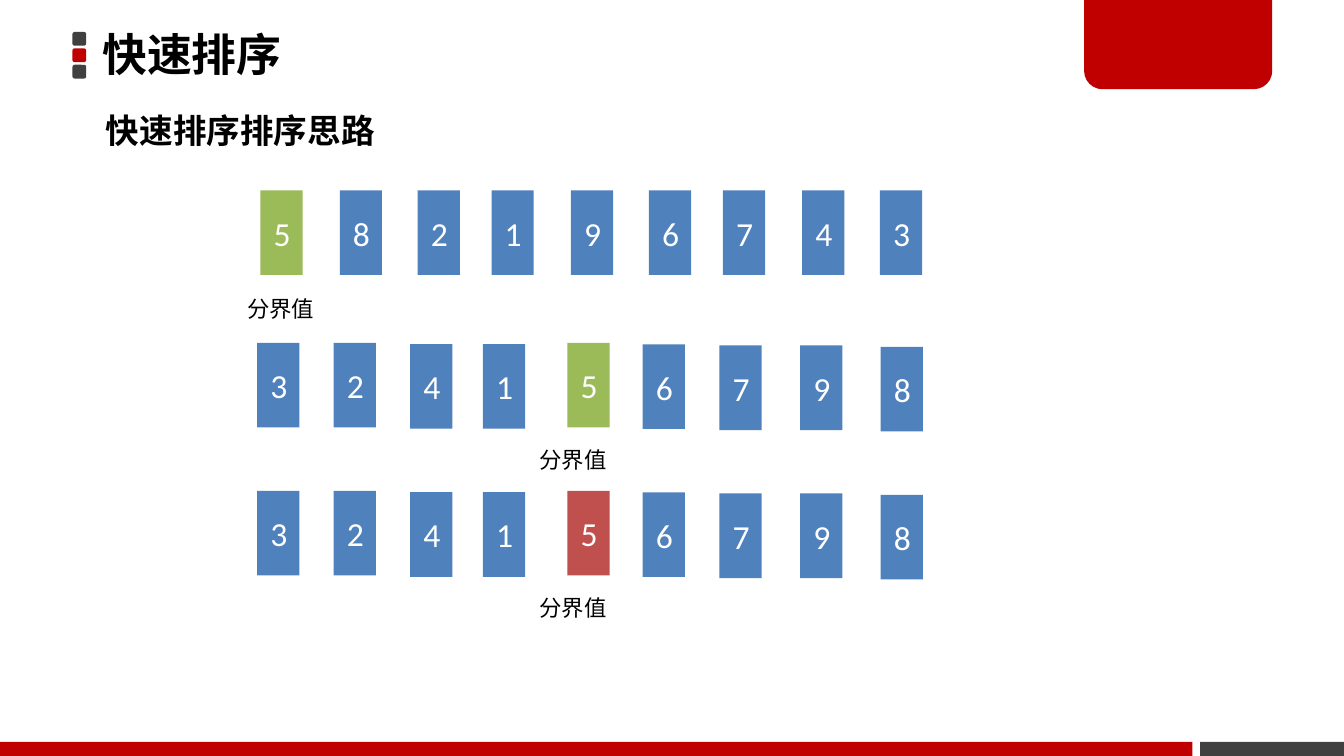
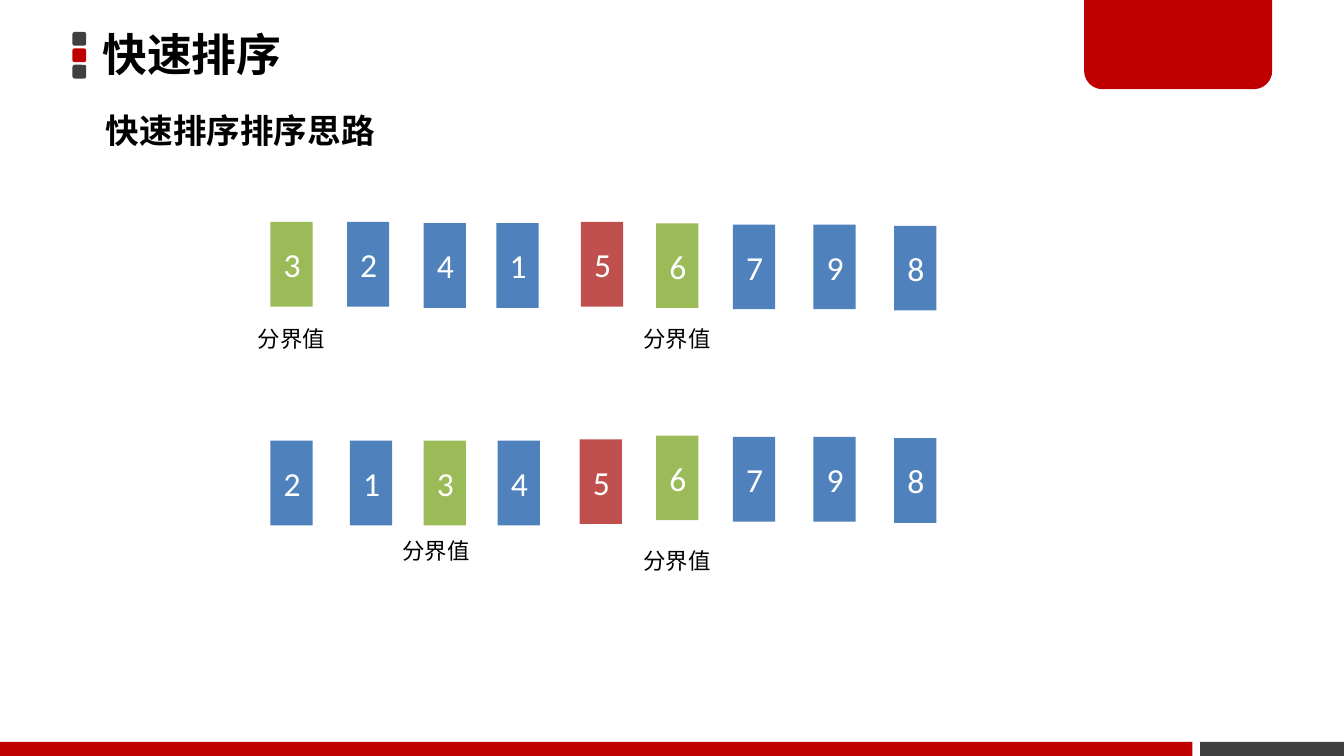
import pptx
import pptx.util
import pptx.dml.color
import pptx.enum.shapes
import pptx.enum.text
import pptx.oxml.ns
import lxml.etree

Pt = pptx.util.Pt
SHAPES = pptx.enum.shapes.MSO_SHAPE
ALIGN = pptx.enum.text.PP_ALIGN
ANCHOR = pptx.enum.text.MSO_ANCHOR
FIT = pptx.enum.text.MSO_AUTO_SIZE

WIDTH, HEIGHT = 720, 405
RED, DARK = "C00000", "404040"
BLACK, WHITE = "000000", "FFFFFF"
PLAIN, PIVOT, PLACED = "4F81BD", "9BBB59", "C0504D"
LATIN, CHINESE = "Calibri", "Noto Sans CJK SC"
CELL_WIDTH, CELL_HEIGHT = 22.66, 45.36

# Cell offsets from the top left corner of a row: across, then down
START = ([0, 42.5, 84.2, 123.8, 166.3, 208.1, 247.7, 290.2, 331.9], [0] * 9)
SPLIT = ([0, 41, 82, 121, 166.3, 206.6, 247.7, 290.9, 334.1],
         [0, 0, 0.7, 0.7, 0, 0.8, 1.4, 1.4, 2.1])
NESTED = ([0, 42.5, 82, 121.7, 165.6, 206.6, 247.7, 290.9, 334.1],
          [2.7, 2.7, 2.7, 2.7, 2, 0, 0.7, 0.7, 1.4])


def colour(value):
    return pptx.dml.color.RGBColor.from_string(value)


class Builder:
    """Holds the deck, its style and the current page."""

    def __init__(self):
        self.deck = pptx.Presentation()
        self.deck.slide_width, self.deck.slide_height = Pt(WIDTH), Pt(HEIGHT)
        self.page = None

    def style(self, para, size, font=CHINESE, ink=BLACK, bold=False):
        for span in para.runs:
            span.font.size = Pt(size)
            span.font.bold = bold
            span.font.color.rgb = colour(ink)
            span.font.name = font
            east = lxml.etree.SubElement(span.font._element, pptx.oxml.ns.qn("a:ea"))
            east.set("typeface", font)

    def shape(self, kind, left, top, width, height, fill, parent=None):
        shapes = (parent or self.page).shapes
        box = shapes.add_shape(kind, Pt(left), Pt(top), Pt(width), Pt(height))
        box.shadow.inherit = False
        box.fill.solid()
        box.fill.fore_color.rgb = colour(fill)
        box.line.fill.background()
        return box

    def title(self, text):
        box = self.page.shapes.title
        box.left, box.top, box.width, box.height = Pt(49.7), Pt(-1.4), Pt(424), Pt(64)
        frame = box.text_frame
        frame.text = text
        frame.auto_size = FIT.NONE
        frame.vertical_anchor = ANCHOR.MIDDLE
        frame.margin_left = frame.margin_right = Pt(5.1)
        frame.margin_top = frame.margin_bottom = Pt(2.6)
        para = frame.paragraphs[0]
        para.alignment = ALIGN.LEFT
        para.line_spacing = 0.9
        self.style(para, 24, bold=True)

    def label(self, text, left, top, width, height, size=12, bold=False):
        box = self.page.shapes.add_textbox(Pt(left), Pt(top), Pt(width), Pt(height))
        frame = box.text_frame
        frame.text = text
        frame.word_wrap = False
        frame.auto_size = FIT.SHAPE_TO_FIT_TEXT
        self.style(frame.paragraphs[0], size, bold=bold)

    def cell(self, digit, left, top, fill):
        box = self.shape(SHAPES.RECTANGLE, left, top, CELL_WIDTH, CELL_HEIGHT, fill)
        frame = box.text_frame
        frame.text = digit
        frame.vertical_anchor = ANCHOR.MIDDLE
        para = frame.paragraphs[0]
        para.alignment = ALIGN.CENTER
        self.style(para, 18, LATIN, WHITE)

    def row(self, digits, left, top, layout, marks, labels):
        """marks gives cell index to fill; labels lists the pivot label corners."""
        for index, (digit, across, down) in enumerate(zip(digits, *layout)):
            self.cell(digit, left + across, top + down, marks.get(index, PLAIN))
        for label_left, label_top in labels:
            self.label("分界值", label_left, label_top, 51.1, 21.6)

    def new_page(self):
        self.page = self.deck.slides.add_slide(self.deck.slide_layouts[5])
        # Title marker
        marker = self.page.shapes.add_group_shape()
        for index, fill in enumerate([DARK, RED, DARK]):
            self.shape(SHAPES.ROUNDED_RECTANGLE, 38.8, 17.1 + 8.8 * index,
                       7.4, 7.4, fill, marker)
        # Corner tab and footer bands
        tab = self.shape(SHAPES.ROUND_2_SAME_RECTANGLE, 580.8, -1.4, 100.8, 49.2, RED)
        tab.adjustments[0], tab.adjustments[1] = 0, 0.2
        self.shape(SHAPES.RECTANGLE, 0, 397.5, 638.8, 7.5, RED)
        self.shape(SHAPES.RECTANGLE, 643, 397.5, 77, 7.5, DARK)
        # Headings
        self.title("快速排序")
        self.label("快速排序排序思路", 49.7, 55.4, 160.6, 28.8, 18, True)


def main():
    builder = Builder()

    # First partition
    builder.new_page()
    builder.row("582196743", 139.5, 102, START, {0: PIVOT}, [(125.3, 154.8)])
    builder.row("324156798", 137.7, 183.7, SPLIT, {4: PIVOT}, [(282, 235.5)])
    builder.row("324156798", 137.7, 263, SPLIT, {4: PLACED}, [(282, 314.8)])

    # Partition of both halves
    builder.new_page()
    builder.row("324156798", 144.9, 118.9, SPLIT,
                {0: PIVOT, 4: PLACED, 5: PIVOT}, [(131, 170.6), (337.7, 170.6)])
    builder.row("213456798", 144.9, 233.4, NESTED,
                {2: PIVOT, 4: PLACED, 5: PIVOT}, [(208.6, 284.2), (337.7, 289.6)])

    builder.deck.save("out.pptx")


if __name__ == "__main__":
    main()
